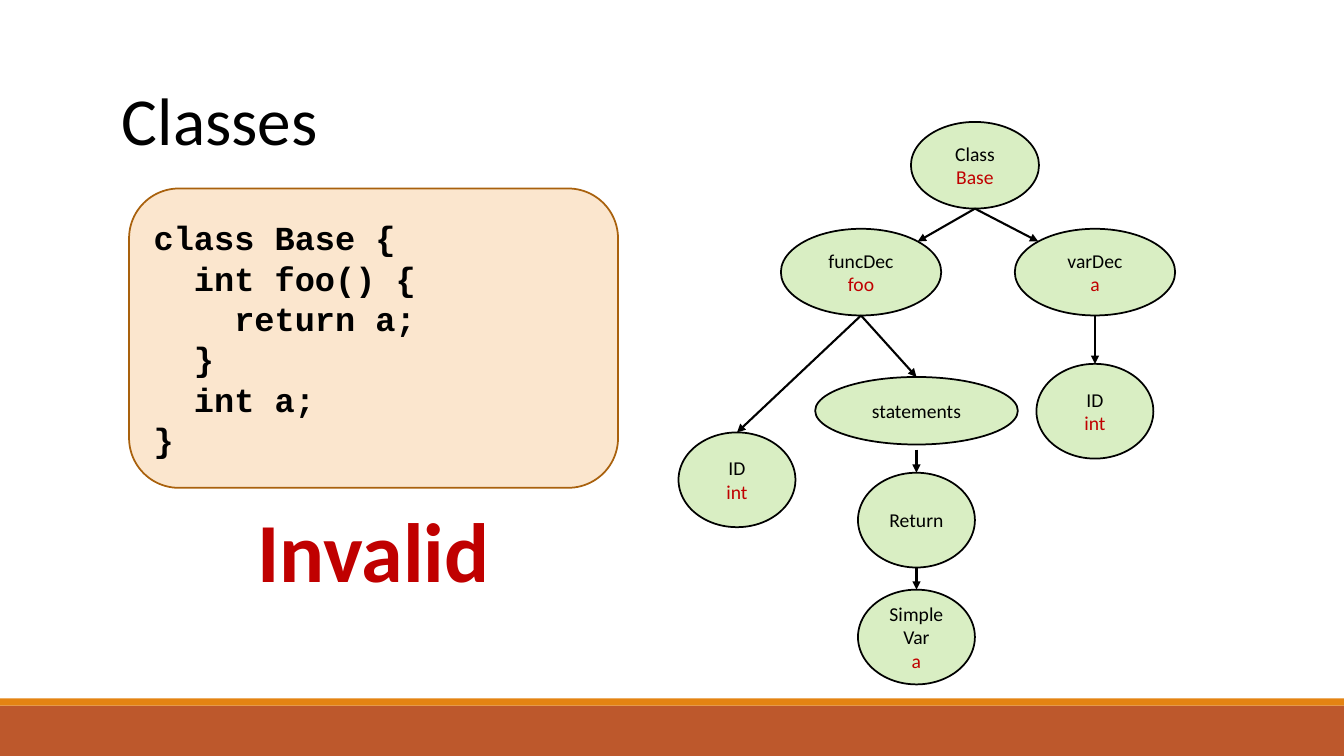
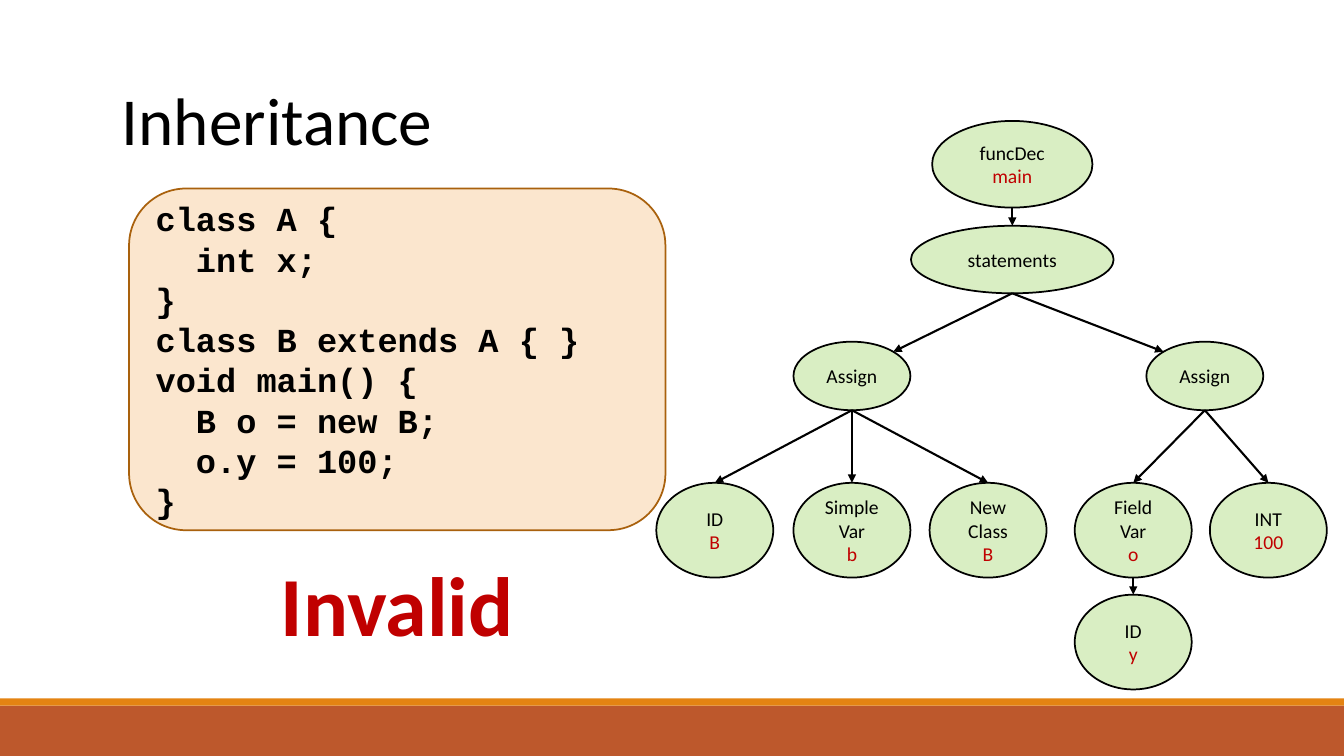
from dataclasses import dataclass
from enum import Enum
from math import sqrt

from lxml import etree
from pptx import Presentation
from pptx.dml.color import RGBColor
from pptx.enum import shapes, text
from pptx.oxml.ns import qn
from pptx.util import Inches, Pt

BLACK = RGBColor(0x00, 0x00, 0x00)
RED = RGBColor(0xC0, 0x00, 0x00)
GREEN = RGBColor(0x92, 0xD0, 0x50)
CREAM = RGBColor(0xFB, 0xE6, 0xCE)
BROWN = RGBColor(0xA9, 0x61, 0x0D)
RUST = RGBColor(0xBD, 0x58, 0x2C)
ORANGE = RGBColor(0xE4, 0x83, 0x12)

BODY_FONT = "Calibri"
CODE_FONT = "Courier New"
NODE_OPACITY = 34
SLIDE_WIDTH = 13.33
CODE_LEFT, CODE_TOP = 1.28, 1.87
VERDICT_WIDTH, VERDICT_HEIGHT = 3.06, 1.11

# Ellipse sizes: width, height
CLASS = (1.27, 0.86)
DECLARATION = (1.59, 0.86)
STATEMENTS = (2.01, 0.67)
ASSIGN = (1.16, 0.68)
LEAF = (1.16, 0.94)


class Entry(Enum):
    """Where the arrow from the parent meets a node: -1 left, 0 middle, 1 right."""
    TOP_LEFT = -1
    TOP = 0
    TOP_RIGHT = 1


@dataclass(frozen=True)
class Node:
    label: str
    detail: str
    size: tuple[float, float]
    centre: float
    top: float
    children: tuple["Node", ...] = ()
    entry: Entry = Entry.TOP
    arrow_gap: float = 0

    @property
    def bottom(self) -> float:
        return self.top + self.size[1]


@dataclass(frozen=True)
class Example:
    title: str
    code: str
    code_size: tuple[float, float]
    verdict_top: float
    tree: Node


CLASSES = Example(
    "Classes",
    "class Base {\n  int foo() {\n    return a;\n  }\n  int a;\n}",
    (4.85, 2.97), 4.9,
    Node("Class", "Base", CLASS, 9.67, 1.21, (
        Node("funcDec", "foo", DECLARATION, 8.54, 2.27, (
            Node("ID", "int", LEAF, 7.31, 4.29),
            Node("statements", "", STATEMENTS, 9.09, 3.74, (
                Node("Return", "", LEAF, 9.09, 4.69, (
                    Node("Simple\nVar", "a", LEAF, 9.09, 5.85),
                ), arrow_gap=0.05),
            )),
        ), Entry.TOP_RIGHT),
        Node("varDec", "a", DECLARATION, 10.86, 2.27, (
            Node("ID", "int", LEAF, 10.86, 3.61),
        ), Entry.TOP_LEFT),
    )),
)

INHERITANCE = Example(
    "Inheritance",
    "class A {\n  int x;\n}\nclass B extends A { }\n"
    "void main() {\n  B o = new B;\n  o.y = 100;\n}",
    (5.32, 3.39), 5.43,
    Node("funcDec", "main", DECLARATION, 10.04, 1.2, (
        Node("statements", "", STATEMENTS, 10.04, 2.24, (
            Node("Assign", "", ASSIGN, 8.45, 3.39, (
                Node("ID", "B", LEAF, 7.09, 4.79),
                Node("Simple\nVar", "b", LEAF, 8.45, 4.79),
                Node("New\nClass", "B", LEAF, 9.8, 4.79),
            ), Entry.TOP_RIGHT),
            Node("Assign", "", ASSIGN, 11.95, 3.39, (
                Node("Field\nVar", "o", LEAF, 11.24, 4.79, (
                    Node("ID", "y", LEAF, 11.24, 5.9),
                )),
                Node("INT", "100", LEAF, 12.58, 4.79),
            ), Entry.TOP_LEFT),
        )),
    )),
)


def format_text(paragraph, size: float, color: RGBColor = BLACK,
                font: str = BODY_FONT, bold: bool = False) -> None:
    for run in paragraph.runs:
        run.font.name = font
        run.font.size = Pt(size)
        run.font.bold = bold
        run.font.color.rgb = color


def add_filled_shape(slide, kind, left: float, top: float, width: float,
                     height: float, fill: RGBColor, line: RGBColor | None = None):
    shape = slide.shapes.add_shape(
        kind, Inches(left), Inches(top), Inches(width), Inches(height))
    shape.shadow.inherit = False
    shape.fill.solid()
    shape.fill.fore_color.rgb = fill
    if line is None:
        shape.line.fill.background()
    else:
        shape.line.color.rgb = line
        shape.line.width = Pt(1.25)
    shape.text_frame.vertical_anchor = text.MSO_ANCHOR.MIDDLE
    return shape


def add_label(slide, content: str, left: float, top: float, width: float,
              height: float):
    """Add a one-line text box and return its paragraph."""
    box = slide.shapes.add_textbox(
        Inches(left), Inches(top), Inches(width), Inches(height))
    box.text_frame.word_wrap = True
    box.text_frame.text = content
    return box.text_frame.paragraphs[0]


def add_bands(slide) -> None:
    for top, height, color in ((7, 0.5, RUST), (6.93, 0.07, ORANGE)):
        add_filled_shape(slide, shapes.MSO_SHAPE.RECTANGLE,
                         0, top, SLIDE_WIDTH, height, color)


def add_code(slide, code: str, width: float, height: float) -> None:
    panel = add_filled_shape(slide, shapes.MSO_SHAPE.ROUNDED_RECTANGLE,
                             CODE_LEFT, CODE_TOP, width, height, CREAM, BROWN)
    panel.text_frame.text = code
    for paragraph in panel.text_frame.paragraphs:
        paragraph.alignment = text.PP_ALIGN.LEFT
        format_text(paragraph, 24, font=CODE_FONT, bold=True)


def add_arrow(slide, parent: Node, child: Node) -> None:
    end_x, end_y = child.centre, child.top
    if child.entry is not Entry.TOP:
        width, height = child.size
        end_x += child.entry.value * width / 2 / sqrt(2)
        end_y += height / 2 * (1 - 1 / sqrt(2))
    arrow = slide.shapes.add_connector(
        shapes.MSO_CONNECTOR.STRAIGHT,
        Inches(parent.centre), Inches(parent.bottom + child.arrow_gap),
        Inches(end_x), Inches(end_y))
    arrow.line.color.rgb = BLACK
    arrow.line.width = Pt(1.5)
    etree.SubElement(arrow.line._get_or_add_ln(), qn("a:tailEnd"), type="triangle")
    etree.SubElement(arrow._element.spPr, qn("a:effectLst"))


def add_tree(slide, node: Node) -> None:
    """Draw a node, then the arrows and subtrees below it."""
    width, height = node.size
    ellipse = add_filled_shape(slide, shapes.MSO_SHAPE.OVAL,
                               node.centre - width / 2, node.top,
                               width, height, GREEN, BLACK)
    fill_color = ellipse._element.spPr.find(qn("a:solidFill"))[0]
    etree.SubElement(fill_color, qn("a:alpha"), val=str(NODE_OPACITY * 1000))
    frame = ellipse.text_frame
    frame.text = f"{node.label}\n{node.detail}" if node.detail else node.label
    for paragraph in frame.paragraphs:
        paragraph.alignment = text.PP_ALIGN.CENTER
        format_text(paragraph, 14)
    if node.detail:
        format_text(frame.paragraphs[-1], 14, RED)
    for child in node.children:
        add_arrow(slide, node, child)
        add_tree(slide, child)


def add_example(presentation, example: Example) -> None:
    slide = presentation.slides.add_slide(presentation.slide_layouts[6])
    add_bands(slide)
    title = add_label(slide, example.title, 1.11, 0.73, 11.09, 0.91)
    format_text(title, 48)
    add_code(slide, example.code, *example.code_size)
    add_tree(slide, example.tree)
    verdict_left = CODE_LEFT + (example.code_size[0] - VERDICT_WIDTH) / 2
    verdict = add_label(slide, "Invalid", verdict_left, example.verdict_top,
                        VERDICT_WIDTH, VERDICT_HEIGHT)
    verdict.alignment = text.PP_ALIGN.CENTER
    format_text(verdict, 60, RED, bold=True)


def main() -> None:
    presentation = Presentation()
    presentation.slide_width = Inches(SLIDE_WIDTH)
    presentation.slide_height = Inches(7.5)
    for example in (CLASSES, INHERITANCE):
        add_example(presentation, example)
    presentation.save("out.pptx")


if __name__ == "__main__":
    main()
